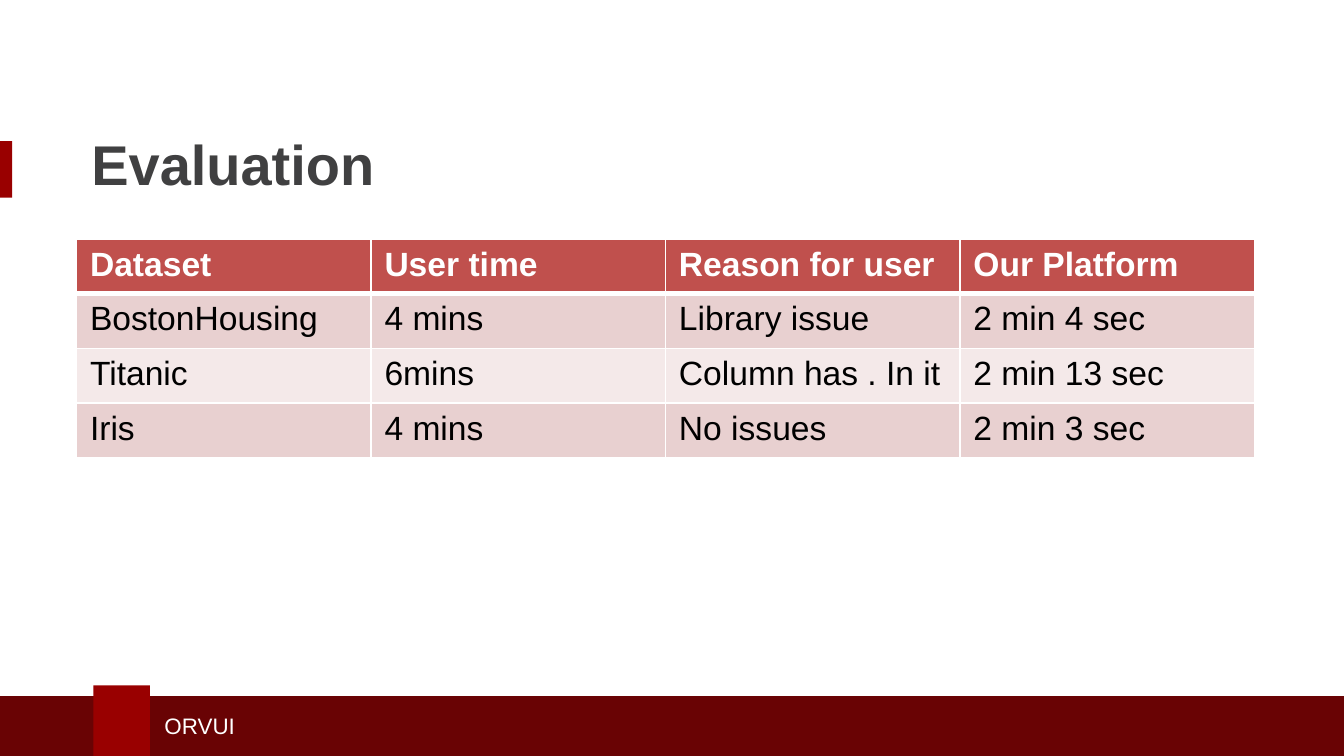
from dataclasses import dataclass

from lxml.etree import SubElement as Sub
from pptx import Presentation
from pptx.dml.color import RGBColor as Rgb
from pptx.enum.shapes import MSO_SHAPE as Shape
from pptx.enum.text import MSO_ANCHOR as Anchor, PP_ALIGN as Align
from pptx.oxml.ns import qn
from pptx.util import Inches, Pt

WIDE = 10
HIGH = WIDE * 9 / 16
COLS = 100
UNIT = WIDE / COLS
ROWS = HIGH / UNIT

FONT = "Arial"
HUES = {
    "red": "990000",
    "dark": "690304",
    "title": "404041",
    "white": "FFFFFF",
    "black": "000000",
    "head": "C0504D",
    "odd": "E8D0D0",
    "even": "F4E9E9",
}


@dataclass
class Box:
    col: float
    row: float
    wide: float
    high: float

    def place(self) -> tuple:
        return tuple(Inches(n * UNIT) for n in (self.col, self.row, self.wide, self.high))


@dataclass
class Bar:
    box: Box
    hue: str


BARS = [
    Bar(Box(0, 10.5, 0.9, 4.2), "red"),
    Bar(Box(0, 51.8, COLS, ROWS - 51.8), "dark"),
    Bar(Box(6.95, 51, 4.2, ROWS - 51), "red"),
]
TITLE = Box(5.8, 8.35, 87.5, 7.6)
LABEL = Box(11.25, 52.5, 39.5, 3)
GRID = Box(5.7, 17.8, 87.65, 16.25)

DATA = [
    ("Dataset", "User time", "Reason for user", "Our Platform"),
    ("BostonHousing", "4 mins", "Library issue", "2 min 4 sec"),
    ("Titanic", "6mins", "Column has . In it", "2 min 13 sec"),
    ("Iris", "4 mins", "No issues", "2 min 3 sec"),
]


def color(hue: str) -> Rgb:
    return Rgb.from_string(HUES[hue])


def write(frame, text: str, size: float, hue: str, bold: bool = False) -> None:
    frame.text = text
    for para in frame.paragraphs:
        para.alignment = Align.LEFT
        for run in para.runs:
            font = run.font
            font.name, font.size, font.bold = FONT, Pt(size), bold
            font.color.rgb = color(hue)


def draw_bar(slide, bar: Bar) -> None:
    shape = slide.shapes.add_shape(Shape.RECTANGLE, *bar.box.place())
    shape.shadow.inherit = False
    shape.fill.solid()
    shape.fill.fore_color.rgb = color(bar.hue)
    shape.line.fill.background()


def draw_title(slide, text: str) -> None:
    title = slide.shapes.title
    title.left, title.top, title.width, title.height = TITLE.place()
    write(title.text_frame, text, 30, "title", True)
    title.text_frame.vertical_anchor = Anchor.MIDDLE


def draw_label(slide, text: str) -> None:
    frame = slide.shapes.add_textbox(*LABEL.place()).text_frame
    frame.word_wrap = True
    frame.vertical_anchor = Anchor.MIDDLE
    write(frame, text, 12, "white")


def edge(cell, side: str, width: float) -> None:
    line = Sub(cell._tc.get_or_add_tcPr(), qn(f"a:ln{side}"), w=str(Pt(width)))
    Sub(Sub(line, qn("a:solidFill")), qn("a:srgbClr"), val=HUES["white"])


def draw_table(slide, data: list) -> None:
    table = slide.shapes.add_table(len(data), len(data[0]), *GRID.place()).table
    for r, line in enumerate(data):
        head = r == 0
        fill = "head" if head else "odd" if r % 2 else "even"
        for c, text in enumerate(line):
            cell = table.cell(r, c)
            for side in "LRTB":
                thick = (r, side) in ((0, "B"), (1, "T"))
                edge(cell, side, 3 if thick else 1)
            cell.fill.solid()
            cell.fill.fore_color.rgb = color(fill)
            write(cell.text_frame, text, 18, "white" if head else "black", head)


def main() -> None:
    deck = Presentation()
    deck.slide_width, deck.slide_height = Inches(WIDE), Inches(HIGH)
    slide = deck.slides.add_slide(deck.slide_layouts.get_by_name("Title Only"))
    for bar in BARS:
        draw_bar(slide, bar)
    draw_label(slide, "ORVUI")
    draw_title(slide, "Evaluation")
    draw_table(slide, DATA)
    deck.save("out.pptx")


if __name__ == "__main__":
    main()
